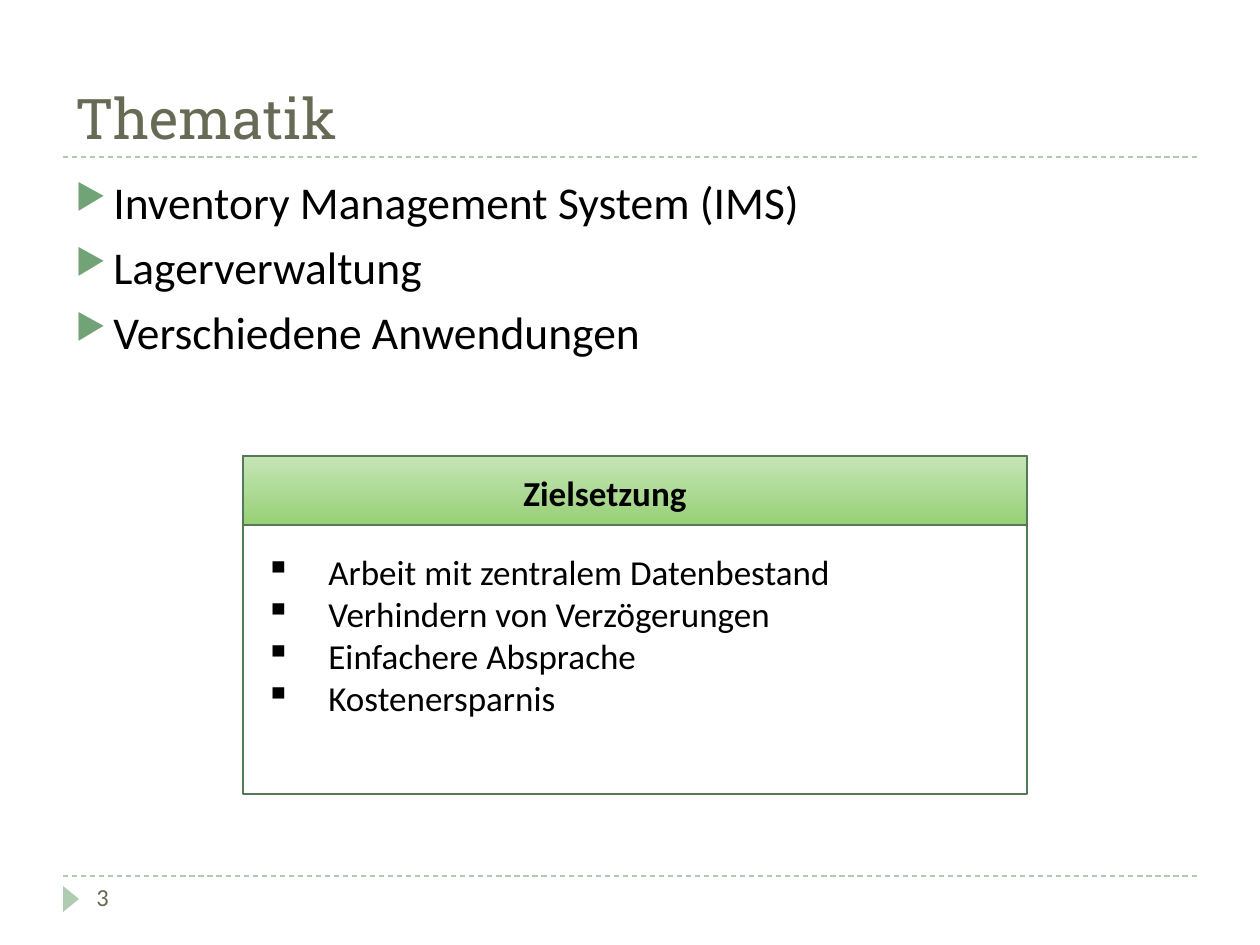
from dataclasses import dataclass
from typing import Optional

from lxml import etree
from pptx import Presentation
from pptx.dml.color import RGBColor
from pptx.enum.dml import MSO_LINE
from pptx.enum.shapes import MSO_CONNECTOR, MSO_SHAPE
from pptx.enum.text import MSO_ANCHOR
from pptx.oxml.ns import qn
from pptx.util import Pt

EMU_PER_PX = 914400 / 126

TOP, BOTTOM = MSO_ANCHOR.TOP, MSO_ANCHOR.BOTTOM
DASH = MSO_LINE.DASH
STRAIGHT = MSO_CONNECTOR.STRAIGHT
RECTANGLE, TRIANGLE = MSO_SHAPE.RECTANGLE, MSO_SHAPE.ISOSCELES_TRIANGLE

BLACK = RGBColor(0x00, 0x00, 0x00)
WHITE = RGBColor(0xFF, 0xFF, 0xFF)
OLIVE = RGBColor(0x67, 0x6A, 0x55)
PALE_GREEN = RGBColor(0xB0, 0xCC, 0xB0)
BULLET_GREEN = RGBColor(0x72, 0xA3, 0x76)
BORDER_GREEN = RGBColor(0x54, 0x79, 0x57)
HEADER_DARK = RGBColor(0x97, 0xD0, 0x77)
HEADER_LIGHT = RGBColor(0xC6, 0xE5, 0xB5)


@dataclass
class Bullet:
    char: str
    indent: int
    color: Optional[RGBColor] = None
    percent: int = 100


@dataclass
class TextBlock:
    box: tuple[int, int, int, int]
    lines: list[str]
    size: int
    color: RGBColor = BLACK
    font: str = "Calibri"
    bold: bool = False
    anchor: MSO_ANCHOR = TOP
    space_before: int = 0
    bullet: Optional[Bullet] = None


def px(value: int) -> int:
    return round(value * EMU_PER_PX)


def add_bullet(p, bullet: Bullet) -> None:
    pPr = p._p.get_or_add_pPr()
    pPr.set("marL", str(px(bullet.indent)))
    pPr.set("indent", str(-px(bullet.indent)))
    if bullet.color is not None:
        color = etree.SubElement(pPr, qn("a:buClr"))
        etree.SubElement(color, qn("a:srgbClr"), val=str(bullet.color))
    etree.SubElement(pPr, qn("a:buSzPct"), val=str(bullet.percent * 1000))
    etree.SubElement(pPr, qn("a:buChar"), char=bullet.char)


def add_text(slide, block: TextBlock) -> None:
    tf = slide.shapes.add_textbox(*map(px, block.box)).text_frame
    tf.word_wrap = True
    tf.vertical_anchor = block.anchor
    font_format = {"name": block.font, "size": Pt(block.size), "bold": block.bold}
    for i, line in enumerate(block.lines):
        p = tf.paragraphs[0] if i == 0 else tf.add_paragraph()
        p.space_before = Pt(block.space_before)
        if block.bullet:
            add_bullet(p, block.bullet)
        r = p.add_run()
        r.text = line
        for name, value in font_format.items():
            setattr(r.font, name, value)
        r.font.color.rgb = block.color


def add_rule(slide, y: int) -> None:
    line = slide.shapes.add_connector(STRAIGHT, px(63), px(y), px(1197), px(y))
    line.line.color.rgb = PALE_GREEN
    line.line.width = Pt(0.75)
    line.line.dash_style = DASH
    etree.SubElement(line._element.spPr, qn("a:effectLst"))


def add_solid(slide, kind: MSO_SHAPE, box: tuple[int, int, int, int],
              fill: RGBColor, border: Optional[RGBColor] = None):
    sp = slide.shapes.add_shape(kind, *map(px, box))
    sp.shadow.inherit = False
    sp.fill.solid()
    sp.fill.fore_color.rgb = fill
    if border is None:
        sp.line.fill.background()
    else:
        sp.line.color.rgb = border
        sp.line.width = Pt(1.5)
    return sp


def main() -> None:
    prs = Presentation()
    prs.slide_width, prs.slide_height = px(1260), px(945)
    slide = prs.slides.add_slide(prs.slide_layouts[6])

    # Dashed rules and footer marker
    for y in (876, 157):
        add_rule(slide, y)
    add_solid(slide, TRIANGLE, (58, 891, 26, 16), PALE_GREEN).rotation = 90

    # Goal box with gradient header
    add_solid(slide, RECTANGLE, (243, 456, 784, 338), WHITE, BORDER_GREEN)
    header = add_solid(slide, RECTANGLE, (243, 456, 784, 69), HEADER_DARK, BORDER_GREEN)
    header.fill.gradient()
    header.fill.gradient_angle = 90
    for stop, color in zip(header.fill.gradient_stops, (HEADER_DARK, HEADER_LIGHT)):
        stop.color.rgb = color

    # Title, topics, page number and goals
    blocks = [
        TextBlock((63, 21, 1134, 136), ["Thematik"], 32, OLIVE, "Roboto Slab",
                  anchor=BOTTOM),
        TextBlock((63, 168, 1134, 680),
                  ["Inventory Management System (IMS)", "Lagerverwaltung",
                   "Verschiedene Anwendungen"],
                  26, space_before=6, bullet=Bullet("▶", 38, BULLET_GREEN, 76)),
        TextBlock((84, 876, 273, 50), ["3"], 14, OLIVE),
        TextBlock((511, 465, 228, 55), ["Zielsetzung"], 20, bold=True),
        TextBlock((253, 544, 764, 183),
                  ["Arbeit mit zentralem Datenbestand", "Verhindern von Verzögerungen",
                   "Einfachere Absprache", "Kostenersparnis"],
                  20, bullet=Bullet("▪", 63)),
    ]
    for block in blocks:
        add_text(slide, block)

    prs.save("out.pptx")


if __name__ == "__main__":
    main()
